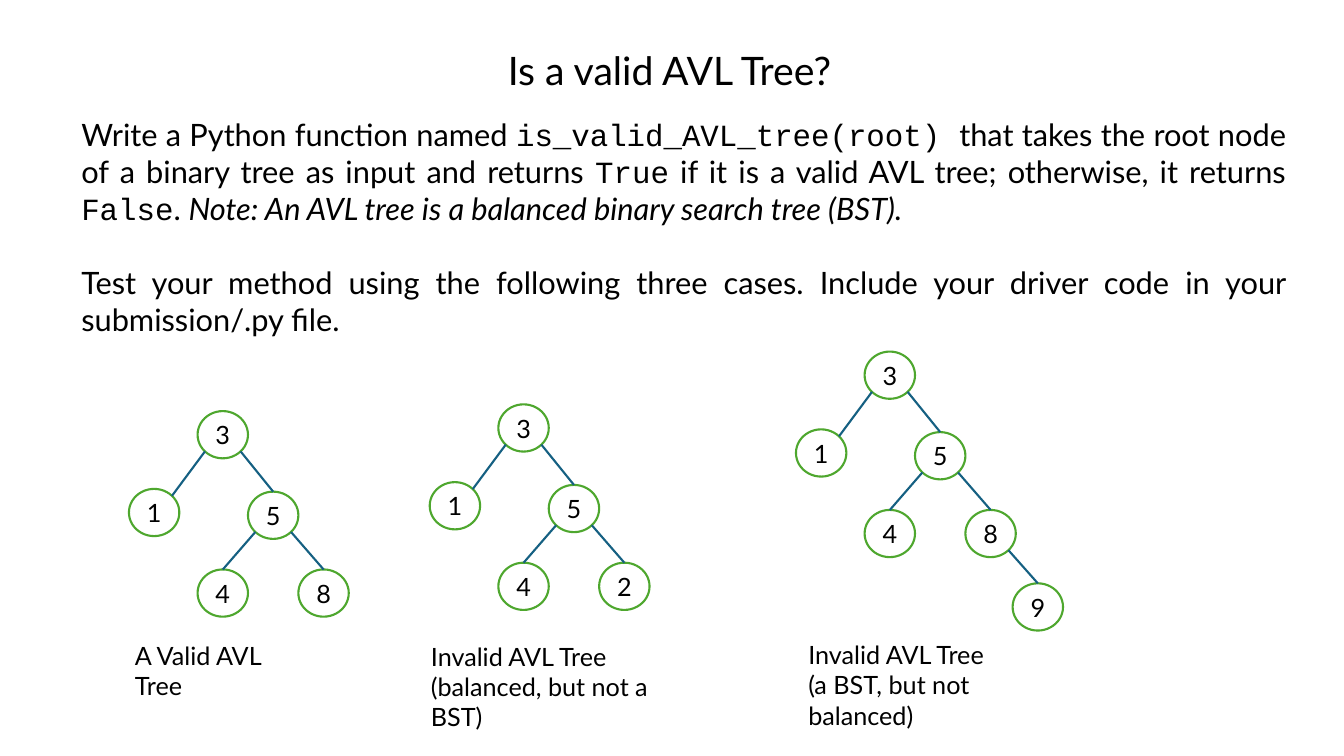
"""Build the AVL tree exercise slide."""
import math

import pptx
import pptx.dml.color
import pptx.enum.shapes
import pptx.enum.text
import pptx.oxml
import pptx.oxml.ns
import pptx.util

Cm = pptx.util.Cm
Pt = pptx.util.Pt
ALIGN = pptx.enum.text.PP_ALIGN
ANCHOR = pptx.enum.text.MSO_ANCHOR


class Deck:
    COLORS = {"text": "000000", "node": "FFFFFF", "ring": "4EA72E", "edge": "156082"}
    FONT, CODE = "Lato", "Courier New"
    NODE_W, NODE_H = 1.27, 1.19

    def __init__(self):
        self.prs = pptx.Presentation()
        self.prs.slide_width, self.prs.slide_height = Cm(33.87), Cm(19.05)
        self.slide = self.prs.slides.add_slide(self.prs.slide_layouts[6])

    def color(self, name):
        return pptx.dml.color.RGBColor.from_string(self.COLORS[name])

    def style(self, r, size, name=FONT, italic=False):
        r.font.size, r.font.name, r.font.italic = Pt(size), name, italic
        r.font.color.rgb = self.color("text")

    def text(self, left, top, width, height, paragraphs, size,
             align=ALIGN.LEFT, anchor=ANCHOR.TOP, gap=0, spacing=1.0):
        sp = self.slide.shapes.add_textbox(Cm(left), Cm(top), Cm(width), Cm(height))
        tf = sp.text_frame
        tf.word_wrap, tf.vertical_anchor = True, anchor
        for i, runs in enumerate(paragraphs):
            p = tf.add_paragraph() if i else tf.paragraphs[0]
            p.alignment, p.line_spacing = align, spacing
            p.space_before = Pt(gap if i else 0)
            for content, *look in runs:
                r = p.add_run()
                r.text = content
                self.style(r, size, *look)

    def node(self, left, top, key):
        sp = self.slide.shapes.add_shape(
            pptx.enum.shapes.MSO_SHAPE.OVAL,
            Cm(left), Cm(top), Cm(self.NODE_W), Cm(self.NODE_H))
        sp.shadow.inherit = False
        sp.fill.solid()
        sp.fill.fore_color.rgb = self.color("node")
        sp.line.color.rgb = self.color("ring")
        sp.line.width = Pt(1.5)
        tf = sp.text_frame
        tf.margin_left = tf.margin_right = tf.margin_top = tf.margin_bottom = 0
        tf.vertical_anchor = ANCHOR.MIDDLE
        tf.text = key
        p = tf.paragraphs[0]
        p.alignment = ALIGN.CENTER
        self.style(p.runs[0], 18)
        return sp

    def rim(self, sp, dx, dy):
        k = math.sqrt(0.5)
        return (int(sp.left + sp.width / 2 * (1 + dx * k)),
                int(sp.top + sp.height / 2 * (1 + dy * k)))

    def edge(self, parent, child, to_top):
        side = 1 if child.left > parent.left else -1
        cxn = self.slide.shapes.add_connector(
            pptx.enum.shapes.MSO_CONNECTOR.STRAIGHT,
            *self.rim(parent, side, 1), *self.rim(child, -side, -1))
        if to_top:
            cxn.end_connect(child, 0)
        cxn.line.color.rgb = self.color("edge")
        cxn.line.width = Pt(1.5)
        spPr = cxn._element.spPr
        spPr.append(pptx.oxml.parse_xml(
            "<a:effectLst %s/>" % pptx.oxml.ns.nsdecls("a")))

    def tree(self, left, top, keys):
        offsets = [(0, 0), (-1.73, 1.96), (1.27, 2.03), (0, 3.99), (2.54, 3.99), (3.73, 5.84)]
        parents = [None, 0, 0, 2, 2, 4]
        nodes = [self.node(left + dx, top + dy, key) for (dx, dy), key in zip(offsets, keys)]
        for i, child in enumerate(nodes[1:], 1):
            self.edge(nodes[parents[i]], child, to_top=i > 1)


def main():
    deck = Deck()
    code = deck.CODE
    deck.text(12.55, 0, 21.3, 3.68, [[("Is a valid AVL Tree?",)]], 28,
              anchor=ANCHOR.MIDDLE, spacing=0.9)
    task = [
        [("Write a Python function named ",),
         ("is_valid_AVL_tree(root) ", code),
         ("that takes the root node of a binary tree as input and returns ",),
         ("True", code),
         (" if it is a valid AVL tree; otherwise, it returns ",),
         ("False", code),
         (". ",),
         ("Note: An AVL tree is a balanced binary search tree (BST).", deck.FONT, True)],
        [("Test your method using the following three cases. "
          "Include your driver code in your submission/.py file.",)],
    ]
    deck.text(1.8, 2.79, 30.86, 5.89, task, 22, align=ALIGN.JUSTIFY, gap=26.4)

    cases = [
        ((4.98, 10.36), "31548", (3.15, 16), 4.4, ["A Valid AVL Tree"]),
        ((12.56, 10.19), "31542", (10.61, 16.03), 6.6,
         ["Invalid AVL Tree", "(balanced, but not a BST)"]),
        ((21.79, 8.86), "315489", (20.12, 15.99), 6.6,
         ["Invalid AVL Tree", "(a BST, but not balanced)"]),
    ]
    for root, keys, corner, width, caption in cases:
        deck.tree(*root, keys)
        deck.text(*corner, width, 1.8, [[(line,)] for line in caption], 18)
    deck.prs.save("out.pptx")


if __name__ == "__main__":
    main()
